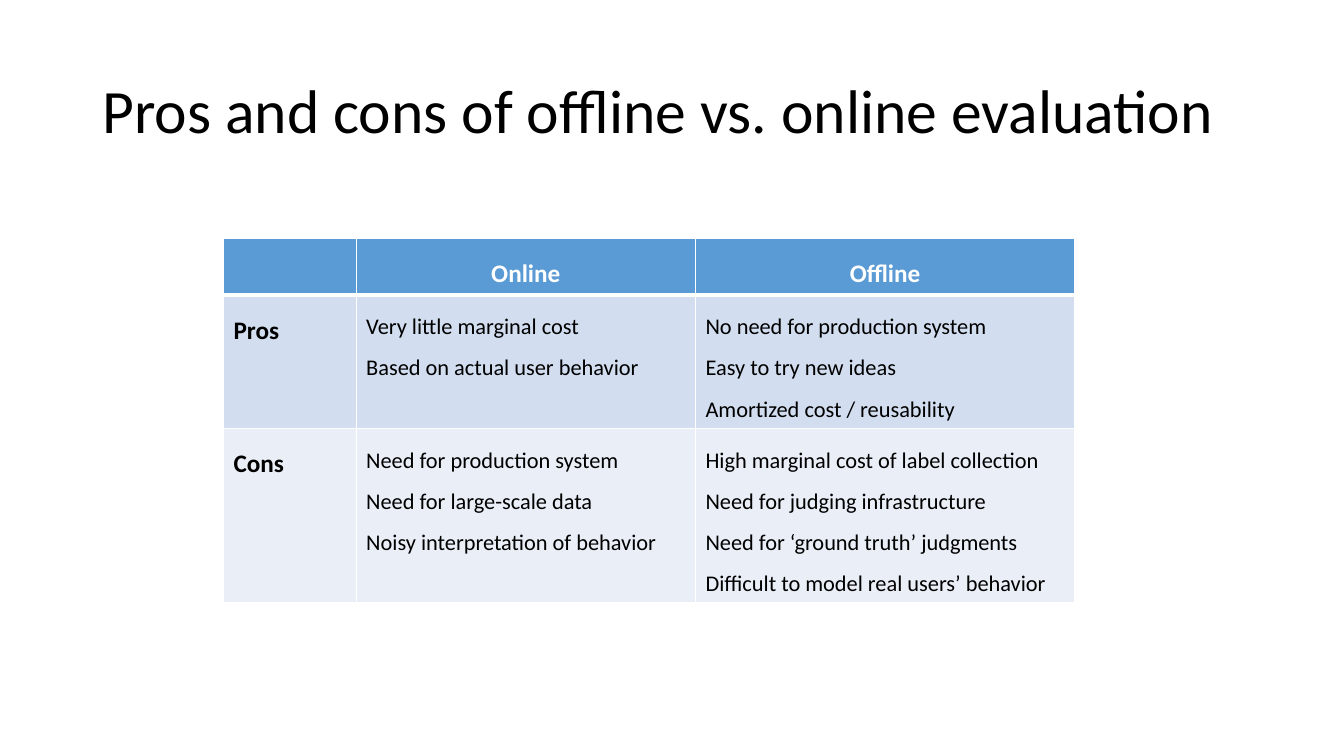
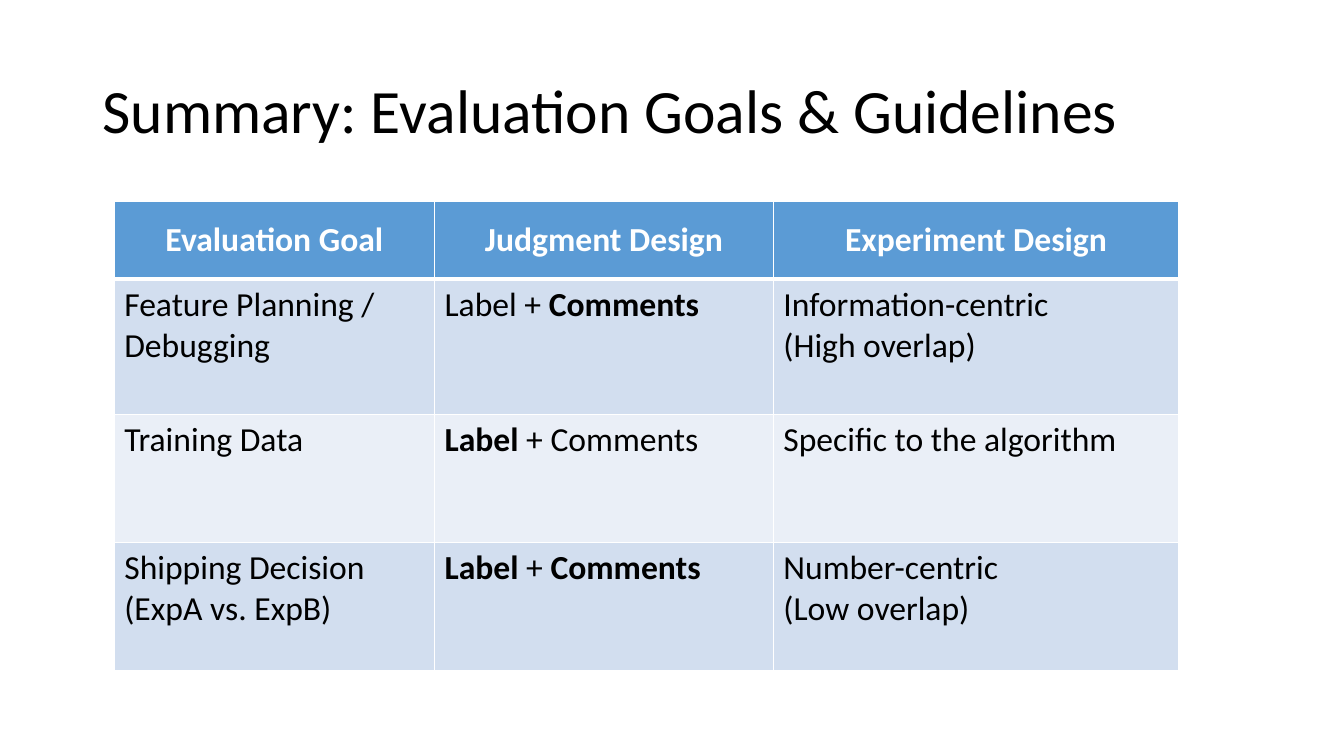
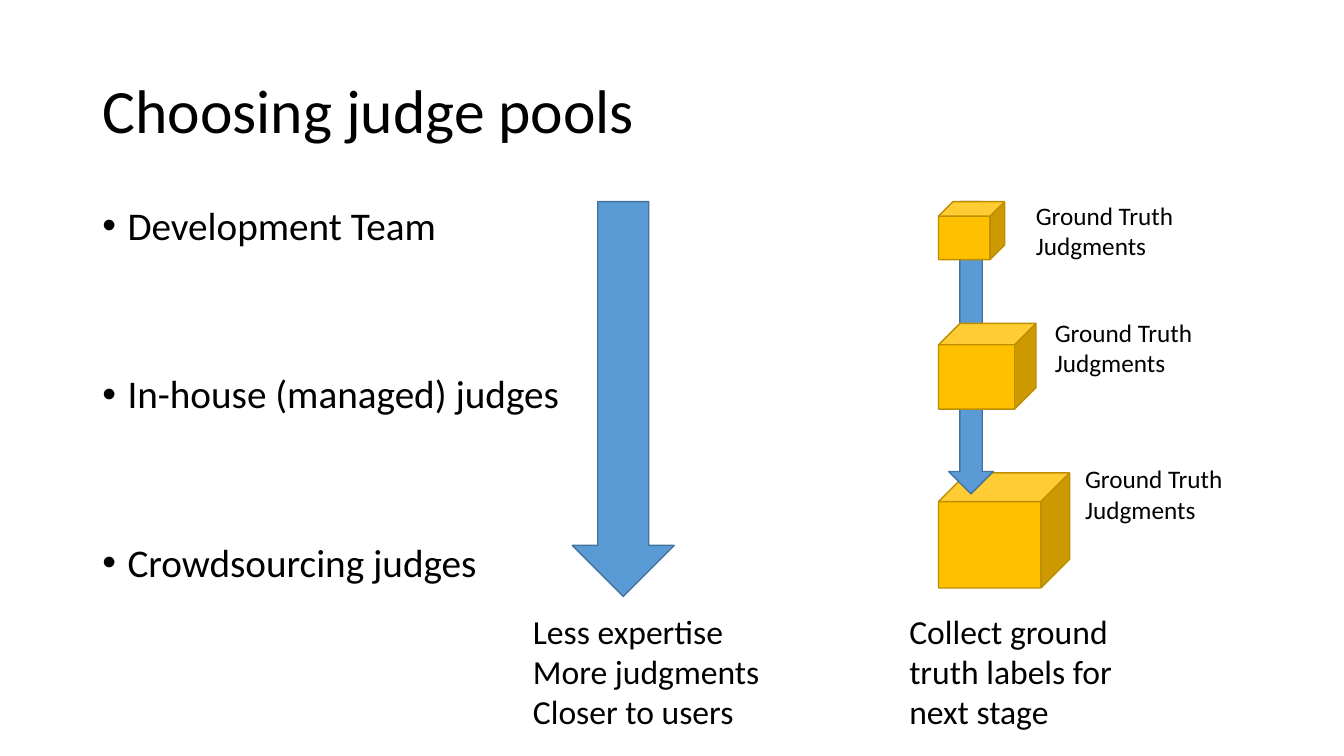
from dataclasses import dataclass

from lxml import etree
from pptx import Presentation
from pptx.dml.color import RGBColor
from pptx.enum.shapes import MSO_SHAPE
from pptx.enum.text import MSO_ANCHOR, MSO_AUTO_SIZE, PP_ALIGN
from pptx.oxml.ns import qn
from pptx.util import Inches, Pt

LEFT, CENTER = PP_ALIGN.LEFT, PP_ALIGN.CENTER
TOP, MIDDLE = MSO_ANCHOR.TOP, MSO_ANCHOR.MIDDLE
DOWN_ARROW, CUBE = MSO_SHAPE.DOWN_ARROW, MSO_SHAPE.CUBE
TITLE_ONLY = 5


@dataclass(frozen=True)
class Theme:
    font: str = "Calibri"
    black: str = "000000"
    white: str = "FFFFFF"
    blue: str = "5B9BD5"
    blue_line: str = "43739E"
    gold: str = "FFC000"
    gold_line: str = "BD8E00"
    bands: tuple = ("D2DEEF", "EAEFF7")
    title: int = 44
    bullet: int = 28
    large: int = 24
    label: int = 18
    small: int = 16


theme = Theme()

# Grid of 120 columns by 90 rows
deck = Presentation()
deck.slide_width, deck.slide_height = Inches(13.33), Inches(7.5)
COLUMN, ROW = deck.slide_width / 120, deck.slide_height / 90


def area(left, top, width, height):
    return (round(left * COLUMN), round(top * ROW),
            round(width * COLUMN), round(height * ROW))


def write(frame, lines, size, color=theme.black, bold=False, align=LEFT,
          spacing=1.0, gap=0, bullet=False):
    """One paragraph per line; *stars* mark bold spans, a newline breaks."""
    frame.word_wrap = True
    for index, line in enumerate(lines):
        para = frame.paragraphs[0] if index == 0 else frame.add_paragraph()
        para.alignment, para.line_spacing = align, spacing
        para.space_before = Pt(gap if index else 0)
        if bullet:
            props = para._p.get_or_add_pPr()
            props.set("marL", str(Inches(0.25)))
            props.set("indent", str(-Inches(0.25)))
            etree.SubElement(props, qn("a:buFont"), typeface="Arial")
            etree.SubElement(props, qn("a:buChar"), char="•")
        for part, text in enumerate(line.split("*")):
            for row, piece in enumerate(text.split("\n")):
                if row:
                    para.add_line_break()
                if piece:
                    span = para.add_run()
                    span.text = piece
                    span.font.name, span.font.size = theme.font, Pt(size)
                    span.font.bold = bold or part % 2 == 1
                    span.font.color.rgb = RGBColor.from_string(color)


# Pages and their titles
titles = ("Pros and cons of oﬄine vs. online evaluation",
          "Summary: Evaluation Goals & Guidelines",
          "Choosing judge pools")
pages = []
for title in titles:
    page = deck.slides.add_slide(deck.slide_layouts[TITLE_ONLY])
    box = page.shapes.title
    box.left, box.top, box.width, box.height = area(8.25, 4.8, 103.5, 17.4)
    box.text_frame.auto_size = MSO_AUTO_SIZE.NONE
    box.text_frame.vertical_anchor = MIDDLE
    write(box.text_frame, [title], theme.title, spacing=0.9)
    pages.append(page)

# Tables: every cell is a list of lines
pros_cons = [
    [[], ["Online"], ["Offline"]],
    [["*Pros*"],
     ["Very little marginal cost", "Based on actual user behavior"],
     ["No need for production system", "Easy to try new ideas",
      "Amortized cost / reusability"]],
    [["*Cons*"],
     ["Need for production system", "Need for large-scale data",
      "Noisy interpretation of behavior"],
     ["High marginal cost of label collection",
      "Need for judging infrastructure",
      "Need for ‘ground truth’ judgments",
      "Difficult to model real users’ behavior"]],
]
guidelines = [
    [["Evaluation Goal"], ["Judgment Design"], ["Experiment Design"]],
    [["Feature Planning / Debugging"], ["Label + *Comments*"],
     ["Information-centric\n(High overlap)"]],
    [["Training Data"], ["*Label* + Comments"],
     ["Specific to the algorithm"]],
    [["Shipping Decision\n(ExpA vs. ExpB)"], ["*Label* + *Comments*"],
     ["Number-centric\n(Low overlap)"]],
]
# page, content, left, top, columns, rows, heading size, body size, spacing, heading anchor
tables = (
    (pages[0], pros_cons, 19.95, 28.4, (11.85, 30.3, 33.85),
     (6.6, 15.6, 20.4), theme.label, theme.small, 1.5, TOP),
    (pages[1], guidelines, 10.2, 24, (28.6, 30.25, 36.2),
     (9.25, 16.1, 15.25, 15.25), theme.large, theme.large, 1.0, MIDDLE),
)
for (page, content, left, top, widths, heights,
     head_size, body_size, spacing, head_anchor) in tables:
    table = page.shapes.add_table(
        len(heights), len(widths),
        *area(left, top, sum(widths), sum(heights))).table
    table.horz_banding = False
    for column, width in zip(table.columns, widths):
        column.width = round(width * COLUMN)
    for row, height in zip(table.rows, heights):
        row.height = round(height * ROW)
    for r, line in enumerate(content):
        for c, lines in enumerate(line):
            cell = table.cell(r, c)
            heading = r == 0
            # Borders, with a heavier rule under the heading
            weights = {"L": 1, "R": 1, "T": 3 if r == 1 else 1,
                       "B": 3 if heading else 1}
            for side, weight in weights.items():
                border = etree.SubElement(cell._tc.get_or_add_tcPr(),
                                          qn(f"a:ln{side}"), w=str(Pt(weight)))
                fill = etree.SubElement(border, qn("a:solidFill"))
                etree.SubElement(fill, qn("a:srgbClr"), val=theme.white)
            cell.fill.solid()
            cell.fill.fore_color.rgb = RGBColor.from_string(
                theme.blue if heading else theme.bands[(r - 1) % 2])
            cell.vertical_anchor = head_anchor if heading else TOP
            row_head = lines in (["*Pros*"], ["*Cons*"])
            write(cell.text_frame, lines,
                  head_size if heading or row_head else body_size,
                  theme.white if heading else theme.black, heading,
                  CENTER if heading else LEFT, spacing)

# Judge pools: bulleted list
page = pages[2]
box = page.shapes.add_textbox(*area(8.25, 24, 103.5, 57))
write(box.text_frame,
      ["Development Team", "In-house (managed) judges",
       "Crowdsourcing judges"],
      theme.bullet, spacing=0.9, gap=90, bullet=True)

# Arrows and cubes, from back to front
blue, gold = (theme.blue, theme.blue_line), (theme.gold, theme.gold_line)
CUBE_LEFT = 83.8
shapes = (
    (DOWN_ARROW, (51.1, 24, 9.1, 47), blue),
    (CUBE, (CUBE_LEFT, 56.3, 11.7, 13.7), gold),
    (DOWN_ARROW, (84.7, 24, 4, 34.8), blue),
    (CUBE, (CUBE_LEFT, 24, 5.9, 6.9), gold),
    (CUBE, (CUBE_LEFT, 38.5, 8.7, 10.2), gold),
)
for kind, place, (fill, line) in shapes:
    shape = page.shapes.add_shape(kind, *area(*place))
    shape.shadow.inherit = False
    shape.fill.solid()
    shape.fill.fore_color.rgb = RGBColor.from_string(fill)
    shape.line.color.rgb = RGBColor.from_string(line)
    shape.line.width = Pt(1)

# Cube labels and captions
ground_truth = ["Ground Truth Judgments"]
notes = [(area(left, top, 14.1, 8.5), ground_truth, theme.label)
         for left, top in ((91.6, 23.2), (93.3, 37.2), (96, 54.6))]
notes += [
    (area(46.7, 72.1, 22.2, 15.7),
     ["Less expertise", "More judgments", "Closer to users"], theme.large),
    (area(80.3, 72.1, 21.4, 15.7),
     ["Collect ground truth labels for next stage"], theme.large),
]
for place, lines, size in notes:
    write(page.shapes.add_textbox(*place).text_frame, lines, size)

deck.save("out.pptx")
